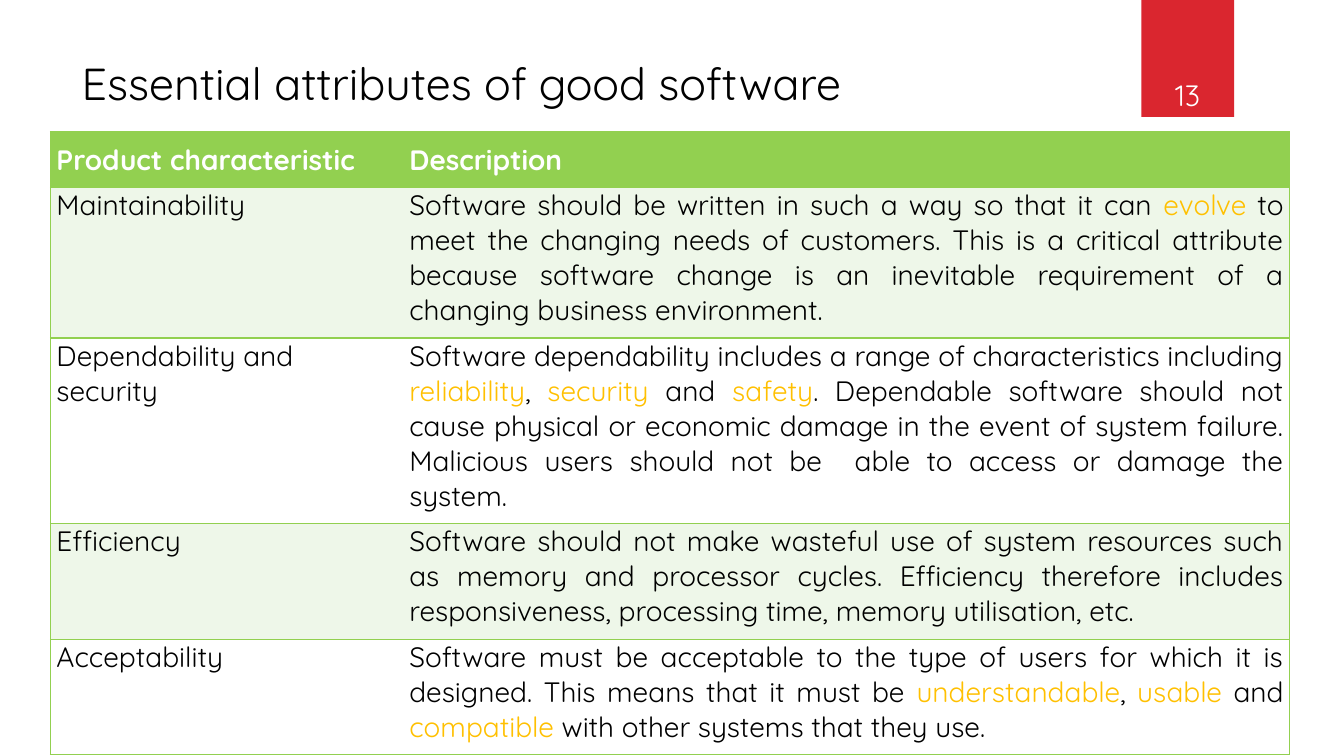
"""Build the slide on the essential attributes of good software."""
from dataclasses import dataclass

from lxml import etree
from pptx import Presentation
from pptx import util as u
from pptx.dml.color import RGBColor
from pptx.enum import shapes, text
from pptx.oxml import ns

HEADING = "Essential attributes of good software"
PAGE = "13"
HEADER = ("Product characteristic", "Description")
ATTRIBUTES = [
    ("Maintainability",
     "Software should be written in such a way so that it can *evolve* to meet the "
     "changing needs of customers. This is a critical attribute because software change "
     "is an inevitable requirement of a changing business environment."),
    ("Dependability and security",
     "Software dependability includes a range of characteristics including *reliability*, "
     "*security* and *safety*. Dependable software should not cause physical or economic "
     "damage in the event of system failure. Malicious users should not be  able to access "
     "or damage the system."),
    ("Efficiency",
     "Software should not make wasteful use of system resources such as memory and "
     "processor cycles. Efficiency therefore includes responsiveness, processing time, "
     "memory utilisation, etc."),
    ("Acceptability",
     "Software must be acceptable to the type of users for which it is designed. This means "
     "that it must be *understandable*, *usable* and *compatible* with other systems that "
     "they use."),
]
COLUMN_WIDTHS = (350, 879)
ROW_HEIGHTS = (54, 143, 177, 110, 110)


@dataclass(frozen=True)
class Theme:
    font: str = "Quicksand"
    ink: str = "000000"
    paper: str = "FFFFFF"
    green: str = "92D050"
    band: str = "EEF7E9"
    keyword: str = "FFC000"
    red: str = "DA262F"
    heading_size: int = 32
    page_size: int = 21
    table_size: int = 20


THEME = Theme()


def px(length):
    return u.Emu(length * 9144)


def apply(target, **values):
    for name, value in values.items():
        setattr(target, name, value)


def write(paragraph, words, size, color, bold=False):
    for index, part in enumerate(words.split("*")):
        if part:
            run = paragraph.add_run()
            apply(run, text=part)
            apply(run.font, name=THEME.font, size=u.Pt(size), bold=bold)
            run.font.color.rgb = RGBColor.from_string(THEME.keyword if index % 2 else color)


def paint(fill, color):
    fill.solid()
    fill.fore_color.rgb = RGBColor.from_string(color)


def draw_borders(cell, visible):
    properties = cell._tc.get_or_add_tcPr()
    for side in "LRTB":
        border = etree.SubElement(properties, ns.qn(f"a:ln{side}"), w=str(u.Pt(1)))
        if side in visible:
            solid = etree.SubElement(border, ns.qn("a:solidFill"))
            etree.SubElement(solid, ns.qn("a:srgbClr"), val=THEME.green)
        else:
            etree.SubElement(border, ns.qn("a:noFill"))


def add_heading(slide):
    heading = slide.shapes.title
    apply(heading, left=px(71), top=px(50), width=px(1029), height=px(153))
    apply(heading.text_frame, vertical_anchor=text.MSO_ANCHOR.TOP,
          auto_size=text.MSO_AUTO_SIZE.NONE, word_wrap=True)
    paragraph = heading.text_frame.paragraphs[0]
    paragraph.alignment = text.PP_ALIGN.LEFT
    write(paragraph, HEADING, THEME.heading_size, THEME.ink)


def add_page_tab(slide):
    tab = slide.shapes.add_shape(shapes.MSO_SHAPE.RECTANGLE, px(1132), 0, px(92), px(116))
    tab.shadow.inherit = False
    paint(tab.fill, THEME.red)
    tab.line.fill.background()
    tab.text_frame.vertical_anchor = text.MSO_ANCHOR.BOTTOM
    paragraph = tab.text_frame.paragraphs[0]
    paragraph.alignment = text.PP_ALIGN.CENTER
    write(paragraph, PAGE, THEME.page_size, THEME.paper)


def add_attributes(slide):
    rows = [HEADER, *ATTRIBUTES]
    table = slide.shapes.add_table(len(rows), len(HEADER), px(50), px(131),
                                   px(sum(COLUMN_WIDTHS)), px(sum(ROW_HEIGHTS))).table
    for column, width in zip(table.columns, COLUMN_WIDTHS):
        column.width = px(width)
    for r, (entries, height) in enumerate(zip(rows, ROW_HEIGHTS)):
        table.rows[r].height = px(height)
        is_header = r == 0
        background = THEME.green if is_header else THEME.band if r % 2 else THEME.paper
        for c, words in enumerate(entries):
            cell = table.cell(r, c)
            draw_borders(cell, "RTB" if c else "LTB")
            paint(cell.fill, background)
            apply(cell, margin_left=px(6), margin_right=px(6),
                  margin_top=px(10 if is_header else 0), margin_bottom=px(10))
            paragraph = cell.text_frame.paragraphs[0]
            paragraph.alignment = text.PP_ALIGN.JUSTIFY if c else text.PP_ALIGN.LEFT
            write(paragraph, words, THEME.table_size,
                  THEME.paper if is_header else THEME.ink, is_header)


def main():
    deck = Presentation()
    apply(deck, slide_width=px(1333), slide_height=px(750))
    slide = deck.slides.add_slide(deck.slide_layouts[5])
    add_heading(slide)
    add_page_tab(slide)
    add_attributes(slide)
    deck.save("out.pptx")


if __name__ == "__main__":
    main()
